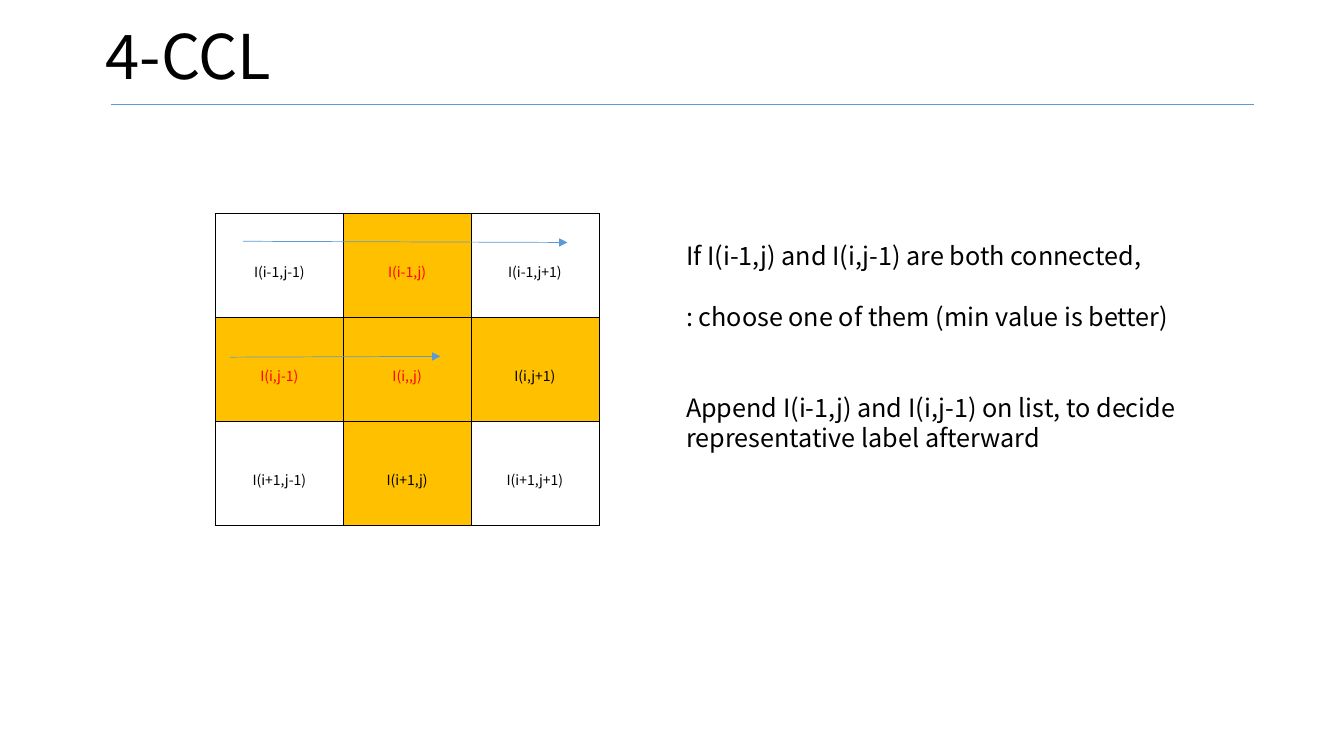
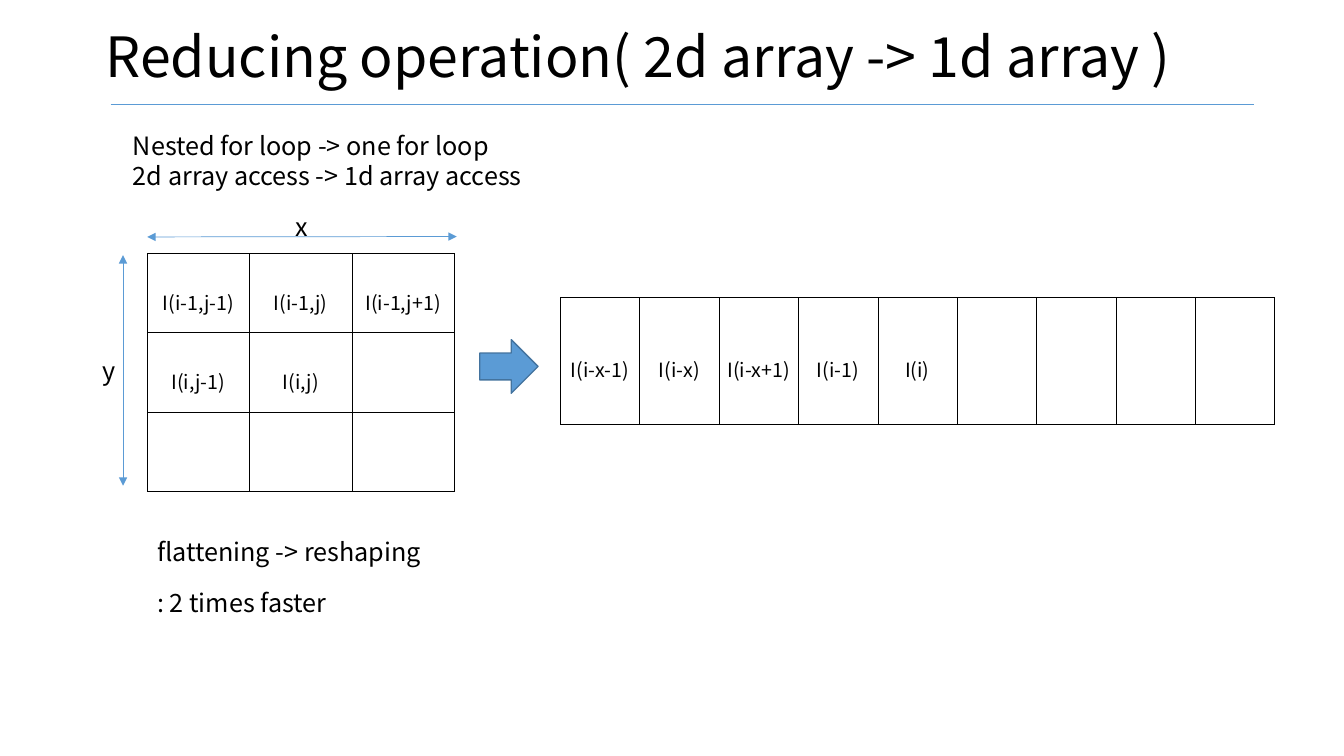
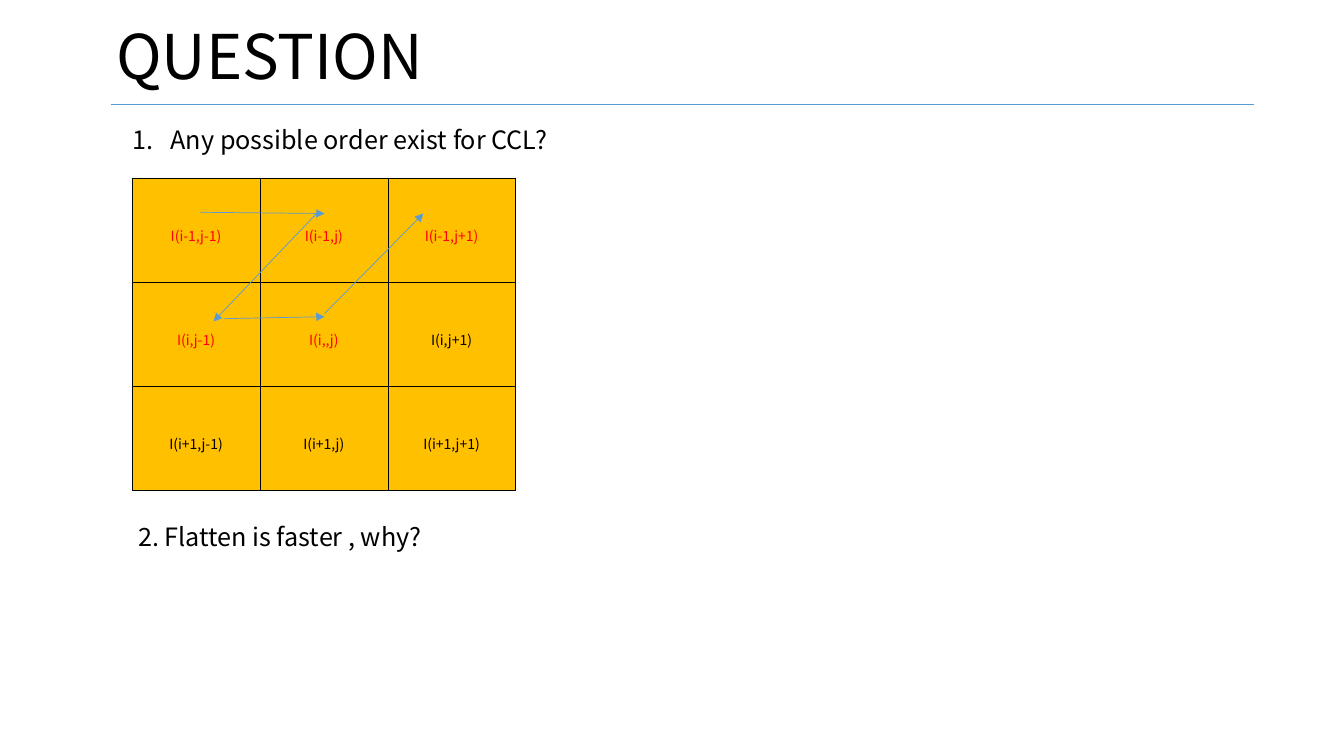
from lxml.etree import SubElement
from pptx import Presentation
from pptx.dml.color import RGBColor
from pptx.enum.shapes import MSO_CONNECTOR as Connector, MSO_SHAPE as Preset
from pptx.enum.text import MSO_ANCHOR as Anchor, MSO_AUTO_SIZE as AutoSize, PP_ALIGN as Align
from pptx.oxml.ns import qn
from pptx.util import Cm, Pt

BLACK = RGBColor(0x00, 0x00, 0x00)
RED = RGBColor(0xFF, 0x00, 0x00)
AMBER = RGBColor(0xFF, 0xC0, 0x00)
BLUE = RGBColor(0x5B, 0x9B, 0xD5)
DARK_BLUE = RGBColor(0x43, 0x73, 0x9E)

FONT = "Noto Sans CJK KR"
LINE_HEIGHT = 21.7  # points, one line of 18 pt text
TITLE_ONLY = 5

NEIGHBOURS = [
    ["I(i-1,j-1)", "I(i-1,j)", "I(i-1,j+1)"],
    ["I(i,j-1)", "I(i,,j)", "I(i,j+1)"],
    ["I(i+1,j-1)", "I(i+1,j)", "I(i+1,j+1)"],
]
ALL_CELLS = {(row, column) for row in range(3) for column in range(3)}
CROSS = {(row, column) for row, column in ALL_CELLS if 1 in (row, column)}


def apply(target, values):
    for name, value in values.items():
        setattr(target, name, value)


class Deck:
    """Holds the shared style and the slide being filled; lengths are centimetres."""

    frame_format = {"word_wrap": True, "auto_size": AutoSize.NONE}
    title_format = {"alignment": Align.LEFT, "line_spacing": 0.9}
    cell_format = {
        "vertical_anchor": Anchor.MIDDLE,
        "margin_left": Cm(0.18), "margin_right": Cm(0.18),
        "margin_top": Cm(0.05), "margin_bottom": Cm(0.05),
    }
    cell_text_format = {"alignment": Align.CENTER, "line_spacing": 1.6}

    def __init__(self):
        self.presentation = Presentation()
        apply(self.presentation, {"slide_width": Cm(33.87), "slide_height": Cm(19.05)})
        self.slide = None

    def new_slide(self, title, left=2.41, size=44):
        layout = self.presentation.slide_layouts[TITLE_ONLY]
        self.slide = self.presentation.slides.add_slide(layout)
        shape = self.slide.shapes.title
        apply(shape, {"left": Cm(left), "top": Cm(0.38),
                      "width": Cm(27.94), "height": Cm(2.26)})
        apply(shape.text_frame, {**self.frame_format, "vertical_anchor": Anchor.MIDDLE})
        paragraph = shape.text_frame.paragraphs[0]
        apply(paragraph, self.title_format)
        self.styled_run(paragraph, title, size)
        self.line((2.79, 2.64), (31.6, 2.64))

    def styled_run(self, paragraph, text, size=18, color=BLACK):
        run = paragraph.add_run()
        run.text = text
        apply(run.font, {"name": FONT, "size": Pt(size)})
        run.font.color.rgb = color

    def text(self, left, top, width, height, *lines, numbered=False):
        """Each line is a string, or a (string, blank lines before it) pair."""
        box = self.slide.shapes.add_textbox(Cm(left), Cm(top), Cm(width), Cm(height))
        frame = box.text_frame
        apply(frame, self.frame_format)
        for index, line in enumerate(lines):
            words, gap = (line, 0) if isinstance(line, str) else line
            paragraph = frame.paragraphs[0] if index == 0 else frame.add_paragraph()
            paragraph.space_before = Pt(gap * LINE_HEIGHT)
            self.styled_run(paragraph, words)
            if numbered:
                properties = paragraph._p.get_or_add_pPr()
                properties.set("marL", str(Cm(0.95)))
                properties.set("indent", str(-Cm(0.95)))
                SubElement(properties, qn("a:buAutoNum"), type="arabicPeriod")

    def line(self, start, end, head=False, tail=False):
        points = [Cm(value) for value in (*start, *end)]
        connector = self.slide.shapes.add_connector(Connector.STRAIGHT, *points)
        connector.line.width = Pt(0.5)
        connector.line.color.rgb = BLUE
        properties = connector._element.spPr
        outline = properties.find(qn("a:ln"))
        for tag, wanted in (("a:headEnd", head), ("a:tailEnd", tail)):
            if wanted:
                SubElement(outline, qn(tag), type="triangle")
        SubElement(properties, qn("a:effectLst"))

    def arrow(self, start, end, both=False):
        self.line(start, end, head=both, tail=True)

    def block_arrow(self, left, top, width, height):
        shape = self.slide.shapes.add_shape(
            Preset.RIGHT_ARROW, Cm(left), Cm(top), Cm(width), Cm(height))
        shape.shadow.inherit = False
        shape.fill.solid()
        shape.fill.fore_color.rgb = BLUE
        shape.line.color.rgb = DARK_BLUE
        shape.line.width = Pt(1)

    def grid(self, left, top, cell_width, cell_height, rows, size,
             filled=frozenset(), red=frozenset()):
        """Table of equal cells; filled and red are sets of (row, column)."""
        row_count, column_count = len(rows), len(rows[0])
        table = self.slide.shapes.add_table(
            row_count, column_count, Cm(left), Cm(top),
            Cm(cell_width * column_count), Cm(cell_height * row_count)).table
        apply(table, {"first_row": False, "horz_banding": False})
        for column in table.columns:
            column.width = Cm(cell_width)
        for row_index, row in enumerate(rows):
            table.rows[row_index].height = Cm(cell_height)
            for column_index, label in enumerate(row):
                place = (row_index, column_index)
                cell = table.cell(*place)
                apply(cell, self.cell_format)
                self.border(cell)
                if place in filled:
                    cell.fill.solid()
                    cell.fill.fore_color.rgb = AMBER
                else:
                    cell.fill.background()
                if label:
                    paragraph = cell.text_frame.paragraphs[0]
                    apply(paragraph, self.cell_text_format)
                    self.styled_run(paragraph, label, size, RED if place in red else BLACK)

    def border(self, cell):
        properties = cell._tc.get_or_add_tcPr()
        for side in ("a:lnL", "a:lnR", "a:lnT", "a:lnB"):
            outline = SubElement(properties, qn(side), w=str(Pt(0.28)))
            fill = SubElement(outline, qn("a:solidFill"))
            SubElement(fill, qn("a:srgbClr"), val=str(BLACK))


def add_four_connected(deck):
    deck.new_slide("4-CCL")
    deck.grid(5.43, 5.38, 3.22, 2.62, NEIGHBOURS, 10,
              filled=CROSS, red={(0, 1), (1, 0), (1, 1)})
    deck.arrow((6.12, 6.08), (14.3, 6.11))
    deck.arrow((5.79, 9), (11.1, 8.98))
    deck.text(17.04, 5.94, 14.91, 5.64,
              "If I(i-1,j) and I(i,j-1) are both connected,",
              (": choose one of them (min value is better)", 1),
              ("Append I(i-1,j) and I(i,j-1) on list, to decide "
               "representative label afterward", 2))


def add_reducing_operation(deck):
    deck.new_slide("Reducing operation( 2d array -> 1d array )", size=39.6)
    square = [["I(i-1,j-1)", "I(i-1,j)", "I(i-1,j+1)"],
              ["I(i,j-1)", "I(i,j)", ""],
              [""] * 3]
    strip = ["I(i-x-1)", "I(i-x)", "I(i-x+1)", "I(i-1)", "I(i)"] + [""] * 4
    deck.grid(3.71, 6.38, 2.58, 2, square, 14)
    deck.grid(14.12, 7.5, 2, 3.18, [strip], 14)
    deck.text(3.1, 3.15, 11.53, 1.8,
              "Nested for loop -> one for loop", "2d array access -> 1d array access")
    deck.block_arrow(12.09, 8.56, 1.47, 1.35)
    deck.text(3.71, 13.39, 8.51, 1.02, "flattening -> reshaping")
    deck.text(3.71, 14.68, 7.04, 1.02, ": 2 times faster")
    deck.text(7.21, 5.21, 0.91, 1.02, "x")
    deck.text(2.34, 8.84, 0.91, 1.02, "y")
    deck.arrow((3.71, 5.97), (11.51, 5.96), both=True)
    deck.arrow((3.1, 6.43), (3.1, 12.24), both=True)


def add_question(deck):
    deck.new_slide("QUESTION", left=2.67)
    deck.grid(3.33, 4.48, 3.22, 2.62, NEIGHBOURS, 10, filled=ALL_CELLS,
              red={(0, 0), (0, 1), (0, 2), (1, 0), (1, 1)})
    for start, end in (((5.05, 5.35), (8.18, 5.38)), ((7.98, 5.38), (5.38, 8.1)),
                       ((5.64, 8.03), (8.18, 7.98)), ((8.18, 7.9), (10.67, 5.38))):
        deck.arrow(start, end)
    deck.text(3.1, 3.02, 11.1, 1.02, "Any possible order exist for CCL?", numbered=True)
    deck.text(3.23, 13, 8, 1.02, "2. Flatten is faster , why?")


def main():
    deck = Deck()
    add_four_connected(deck)
    add_reducing_operation(deck)
    add_question(deck)
    deck.presentation.save("out.pptx")


if __name__ == "__main__":
    main()
